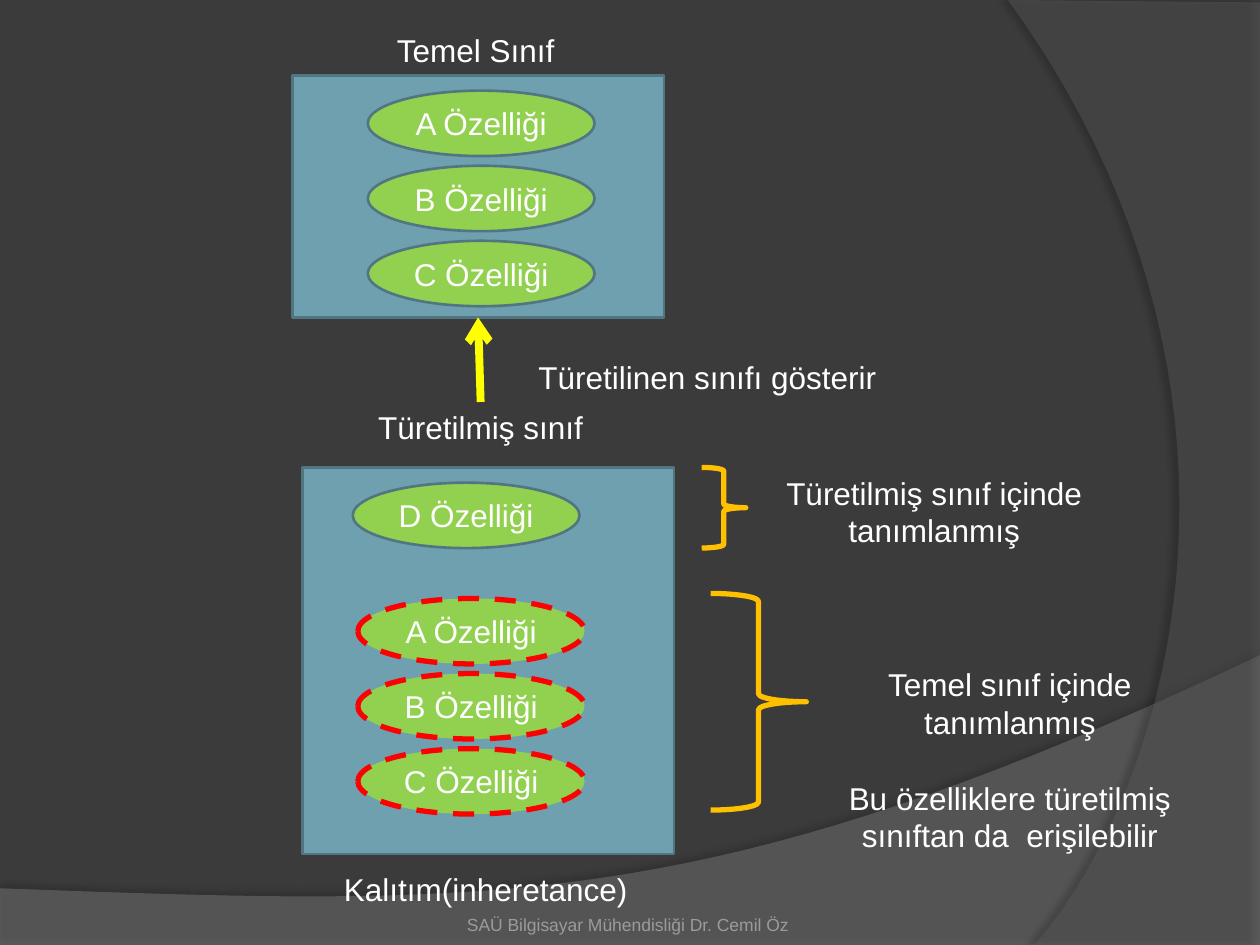
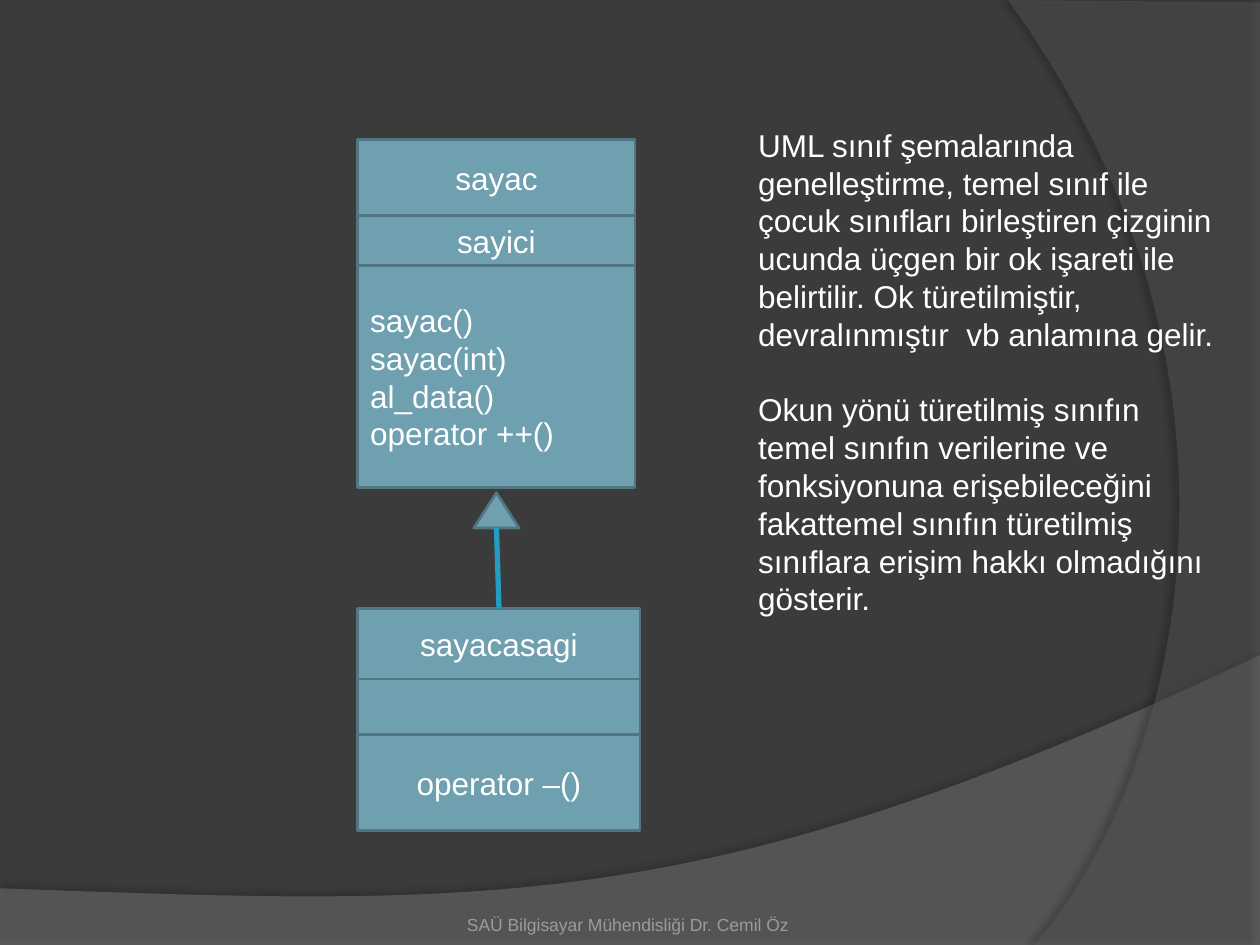
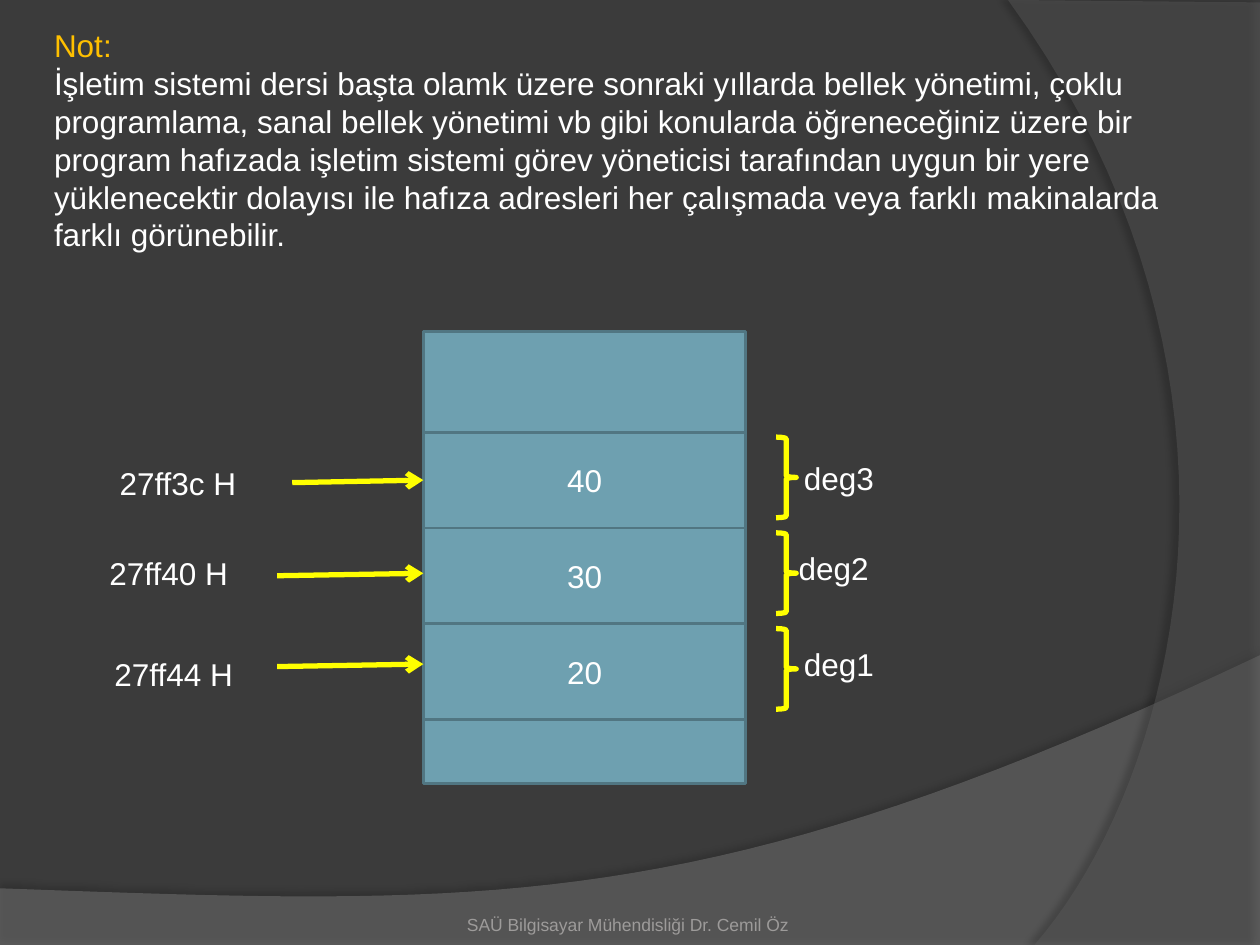
from lxml.etree import SubElement
from pptx import Presentation
from pptx.dml.color import RGBColor
from pptx.enum.dml import MSO_LINE
from pptx.enum.shapes import MSO_CONNECTOR, MSO_SHAPE
from pptx.enum.text import MSO_ANCHOR, MSO_AUTO_SIZE, PP_ALIGN
from pptx.oxml.ns import qn
from pptx.util import Pt

# Shared look
FONT = "Arial"
BACKDROP = RGBColor(0x3B, 0x3B, 0x3B)
LOWER_BAND = RGBColor(0x7F, 0x7F, 0x7F)
SIDE_BAND = RGBColor(0x5E, 0x5E, 0x5E)
WHITE = RGBColor(0xFF, 0xFF, 0xFF)
FOOTER_GREY = RGBColor(0x9D, 0x9B, 0x9A)
BOX_BLUE = RGBColor(0x6E, 0xA0, 0xB0)
BOX_EDGE = RGBColor(0x51, 0x76, 0x82)
LINK_BLUE = RGBColor(0x23, 0x9B, 0xC2)
GREEN = RGBColor(0x92, 0xD0, 0x50)
RED = RGBColor(0xFF, 0x00, 0x00)
YELLOW = RGBColor(0xFF, 0xFF, 0x00)
AMBER = RGBColor(0xFF, 0xC0, 0x00)
FOOTER = "SAÜ Bilgisayar Mühendisliği Dr. Cemil Öz"

LABEL_W, LABEL_H = 215.3, 28.8
OVAL_W, OVAL_H, OVAL_STEP = 129.6, 37.4, 42.9
LINE_GAP = 21.6
FEATURES = ("A Özelliği", "B Özelliği", "C Özelliği")


def write(frame, lines, align, size=18, color=WHITE, gap=0):
    frame.word_wrap = True
    for i, line in enumerate(lines):
        paragraph = frame.paragraphs[0] if i == 0 else frame.add_paragraph()
        paragraph.text = line
        paragraph.alignment = align
        if gap and i:
            paragraph.space_before = Pt(gap)
        font = paragraph.font
        font.name, font.size, font.color.rgb = FONT, Pt(size), color


def add_label(slide, left, top, width, height, *lines,
              align=PP_ALIGN.CENTER, gap=0):
    label = slide.shapes.add_textbox(Pt(left), Pt(top), Pt(width), Pt(height))
    write(label.text_frame, lines, align, gap=gap)
    label.text_frame.auto_size = MSO_AUTO_SIZE.SHAPE_TO_FIT_TEXT
    return label


def add_figure(slide, kind, left, top, width, height, *lines, fill=BOX_BLUE,
               edge=BOX_EDGE, weight=1.5, align=PP_ALIGN.CENTER):
    figure = slide.shapes.add_shape(kind, Pt(left), Pt(top), Pt(width), Pt(height))
    figure.shadow.inherit = False
    if fill is None:
        figure.fill.background()
    else:
        figure.fill.solid()
        figure.fill.fore_color.rgb = fill
    figure.line.color.rgb = edge
    figure.line.width = Pt(weight)
    if lines:
        figure.text_frame.vertical_anchor = MSO_ANCHOR.MIDDLE
        write(figure.text_frame, lines, align)
    return figure


def add_oval(slide, left, top, text, inherited=False):
    edge, weight = (RED, 3) if inherited else (BOX_EDGE, 1.5)
    oval = add_figure(slide, MSO_SHAPE.OVAL, left, top, OVAL_W, OVAL_H, text,
                      fill=GREEN, edge=edge, weight=weight)
    if inherited:
        oval.line.dash_style = MSO_LINE.DASH


def add_features(slide, left, top, inherited=False):
    for i, feature in enumerate(FEATURES):
        add_oval(slide, left, top + i * OVAL_STEP, feature, inherited)


def add_brace(slide, left, top, width, height, color):
    add_figure(slide, MSO_SHAPE.RIGHT_BRACE, left, top, width, height,
               fill=None, edge=color, weight=3)


def add_line(slide, start, end, color, weight, arrow=True):
    line = slide.shapes.add_connector(
        MSO_CONNECTOR.STRAIGHT, *(Pt(value) for value in start + end))
    line.line.color.rgb = color
    line.line.width = Pt(weight)
    properties = line.element.spPr
    if arrow:
        SubElement(properties.find(qn("a:ln")), qn("a:tailEnd"), type="arrow")
    SubElement(properties, qn("a:effectLst"))
    return line


def add_stack(slide, left, top, width, rows):
    """Stack (height, align, lines) rows and return their rectangles."""
    cells = []
    for height, align, lines in rows:
        cells.append(add_figure(slide, MSO_SHAPE.RECTANGLE, left, top, width,
                                height, *lines, align=align))
        top += height
    return cells


def curve(p0, p1, p2, p3, steps=40):
    """Points of a cubic Bezier curve after its start."""
    for i in range(1, steps + 1):
        t = i / steps
        u = 1 - t
        yield tuple(u**3 * a + 3 * u * u * t * b + 3 * u * t * t * c + t**3 * d
                    for a, b, c, d in zip(p0, p1, p2, p3))


def add_band(slide, points, color, opacity, shadow_opacity, distance, angle):
    outline = [(Pt(x), Pt(y)) for x, y in points]
    builder = slide.shapes.build_freeform(*outline[0])
    builder.add_line_segments(outline[1:], close=True)
    band = builder.convert_to_shape()
    band.fill.solid()
    band.fill.fore_color.rgb = color
    band.line.fill.background()
    band.shadow.inherit = False
    properties = band.element.spPr
    tint = properties.find(qn("a:solidFill")).find(qn("a:srgbClr"))
    SubElement(tint, qn("a:alpha"), val=str(opacity * 1000))
    shadow = SubElement(properties.find(qn("a:effectLst")), qn("a:outerShdw"),
                        blurRad=str(Pt(4)), dist=str(Pt(distance)),
                        dir=str(angle * 60000), algn="ctr", rotWithShape="0")
    shade = SubElement(shadow, qn("a:srgbClr"), val="000000")
    SubElement(shade, qn("a:alpha"), val=str(shadow_opacity * 1000))
    return band


def dress_layout(layout, slide):
    """Give the layout its background and bands, drawn by way of a slide."""
    layout.background.fill.solid()
    layout.background.fill.fore_color.rgb = BACKDROP
    for placeholder in list(layout.placeholders):
        placeholder.element.getparent().remove(placeholder.element)
    lower = [(0, 507.6), (0, 540.7), (720, 540.7), (720, 374.4)]
    lower += curve(lower[-1], (402.5, 524.9), (281.5, 517.7), lower[0])
    side = [(720, 1.4), (720, 540), (591.1, 540)]
    side += curve(side[-1], (673.2, 445.7), (733, 216), (576, 0))
    bands = (add_band(slide, lower, LOWER_BAND, 45, 35, 3.5, 270),
             add_band(slide, side, SIDE_BAND, 40, 45, 4, 180))
    for band in bands:
        layout.shapes.element.append(band.element)


def add_footer(slide):
    footer = slide.shapes.add_textbox(Pt(246.2), Pt(505.4), Pt(225), Pt(28.8))
    frame = footer.text_frame
    write(frame, [FOOTER], PP_ALIGN.CENTER, size=10, color=FOOTER_GREY)
    frame.vertical_anchor = MSO_ANCHOR.BOTTOM
    frame.margin_left = frame.margin_right = frame.margin_bottom = 0


def build_inheritance(slide):
    # Base and derived class
    base = add_figure(slide, MSO_SHAPE.RECTANGLE, 167, 43.2, 212.4, 138.2)
    add_figure(slide, MSO_SHAPE.RECTANGLE, 172.8, 267.1, 212.4, 221)
    add_label(slide, 164.2, 14.4, LABEL_W, LABEL_H, "Temel Sınıf")
    derived_name = add_label(slide, 167, 229.7, LABEL_W, LABEL_H, "Türetilmiş sınıf")
    derives = add_line(slide, (274.6, 229.7), (273.2, 181.4), YELLOW, 4.5)
    derives.begin_connect(derived_name, 0)
    derives.end_connect(base, 2)

    # Features of each class
    add_oval(slide, 201.6, 275.8, "D Özelliği")
    add_features(slide, 210.2, 51.8)
    add_features(slide, 204.5, 342, inherited=True)

    # Explanations
    add_label(slide, 296.6, 200.9, LABEL_W, LABEL_H, "Türetilinen sınıfı gösterir")
    add_brace(slide, 401, 267.1, 25.2, 46.1, AMBER)
    add_brace(slide, 406.1, 339.1, 54.7, 123.8, AMBER)
    add_label(slide, 426.2, 267.1, LABEL_W, 51.1,
              "Türetilmiş sınıf içinde tanımlanmış")
    add_label(slide, 469.4, 376.6, LABEL_W, 116.6,
              "Temel sınıf içinde tanımlanmış",
              "Bu özelliklere türetilmiş sınıftan da  erişilebilir", gap=LINE_GAP)
    add_label(slide, 169.9, 493.9, LABEL_W, LABEL_H, "Kalıtım(inheretance)")


def build_class_diagram(slide):
    center, left = PP_ALIGN.CENTER, PP_ALIGN.LEFT
    add_stack(slide, 204.5, 79.9, 158.4, [
        (43.2, center, ["sayac"]),
        (28.8, center, ["sayici"]),
        (126.7, left, ["sayac()", "sayac(int)", "al_data()", "operator ++()"]),
    ])
    child = add_stack(slide, 204.5, 347.8, 161.3, [
        (40.3, center, ["sayacasagi"]),
        (31.7, center, []),
        (54.7, center, ["operator –()"]),
    ])

    # Generalisation arrow
    add_figure(slide, MSO_SHAPE.ISOSCELES_TRIANGLE, 270.7, 281.5, 25.9, 20.2)
    stem = add_line(slide, (285.1, 347.8), (283.7, 301.7), LINK_BLUE, 3, arrow=False)
    stem.begin_connect(child[0], 0)

    add_label(
        slide, 426.2, 68.4, 275.8, 312.5,
        "UML sınıf şemalarında genelleştirme, temel sınıf ile çocuk sınıfları "
        "birleştiren çizginin ucunda üçgen bir ok işareti ile belirtilir. Ok "
        "türetilmiştir, devralınmıştır  vb anlamına gelir.",
        "Okun yönü türetilmiş sınıfın temel sınıfın verilerine ve fonksiyonuna "
        "erişebileceğini fakattemel sınıfın türetilmiş sınıflara erişim hakkı "
        "olmadığını gösterir.",
        align=left, gap=LINE_GAP)


def build_memory(slide):
    left = PP_ALIGN.LEFT
    note = add_label(
        slide, 23.8, 11.5, 666.7, 181.4, "Not:",
        "İşletim sistemi dersi başta olamk üzere sonraki yıllarda bellek yönetimi, "
        "çoklu programlama, sanal bellek yönetimi vb gibi konularda öğreneceğiniz "
        "üzere bir program hafızada işletim sistemi görev yöneticisi tarafından "
        "uygun bir yere yüklenecektir dolayısı ile hafıza adresleri her çalışmada "
        "veya farklı makinalarda farklı görünebilir.", align=left)
    note.text_frame.paragraphs[0].font.color.rgb = AMBER

    # Memory column
    cell_h = 54.7
    add_figure(slide, MSO_SHAPE.RECTANGLE, 241.9, 189.4, 184.3, 258.5)
    cells = add_stack(slide, 241.9, 247, 184.3, [
        (cell_h, PP_ALIGN.CENTER, [value]) for value in ("40", "30", "20")])

    # Variable names
    variables = (("deg3", 452.2, 258.5), ("deg2", 449.3, 310.3), ("deg1", 452.2, 365))
    for i, (name, x, y) in enumerate(variables):
        add_brace(slide, 443.5, 249.8 + i * cell_h, 11.5, 46.1, YELLOW)
        add_label(slide, x, y, 164.2, LABEL_H, name, align=left)

    # Addresses and their arrows
    addresses = (("27ff3c H", 61.2, 261.4, 167, 275.8),
                 ("27ff40 H", 55.4, 313.2, 158.4, 329),
                 ("27ff44 H", 58.3, 370.8, 158.4, 380.9))
    arrows = []
    for address, x, y, arrow_x, arrow_y in addresses:
        add_label(slide, x, y, 106.6, LABEL_H, address, align=left)
        arrows.append(add_line(slide, (arrow_x, arrow_y), (241.9, arrow_y - 1.4),
                               YELLOW, 3))
    arrows[0].end_connect(cells[0], 1)


def main():
    deck = Presentation()
    deck.slide_width, deck.slide_height = Pt(720), Pt(540)
    blank = deck.slide_layouts[6]
    builders = (build_inheritance, build_class_diagram, build_memory)
    for i, build in enumerate(builders):
        slide = deck.slides.add_slide(blank)
        if i == 0:
            dress_layout(blank, slide)
        add_footer(slide)
        build(slide)
    deck.save("out.pptx")


if __name__ == "__main__":
    main()
